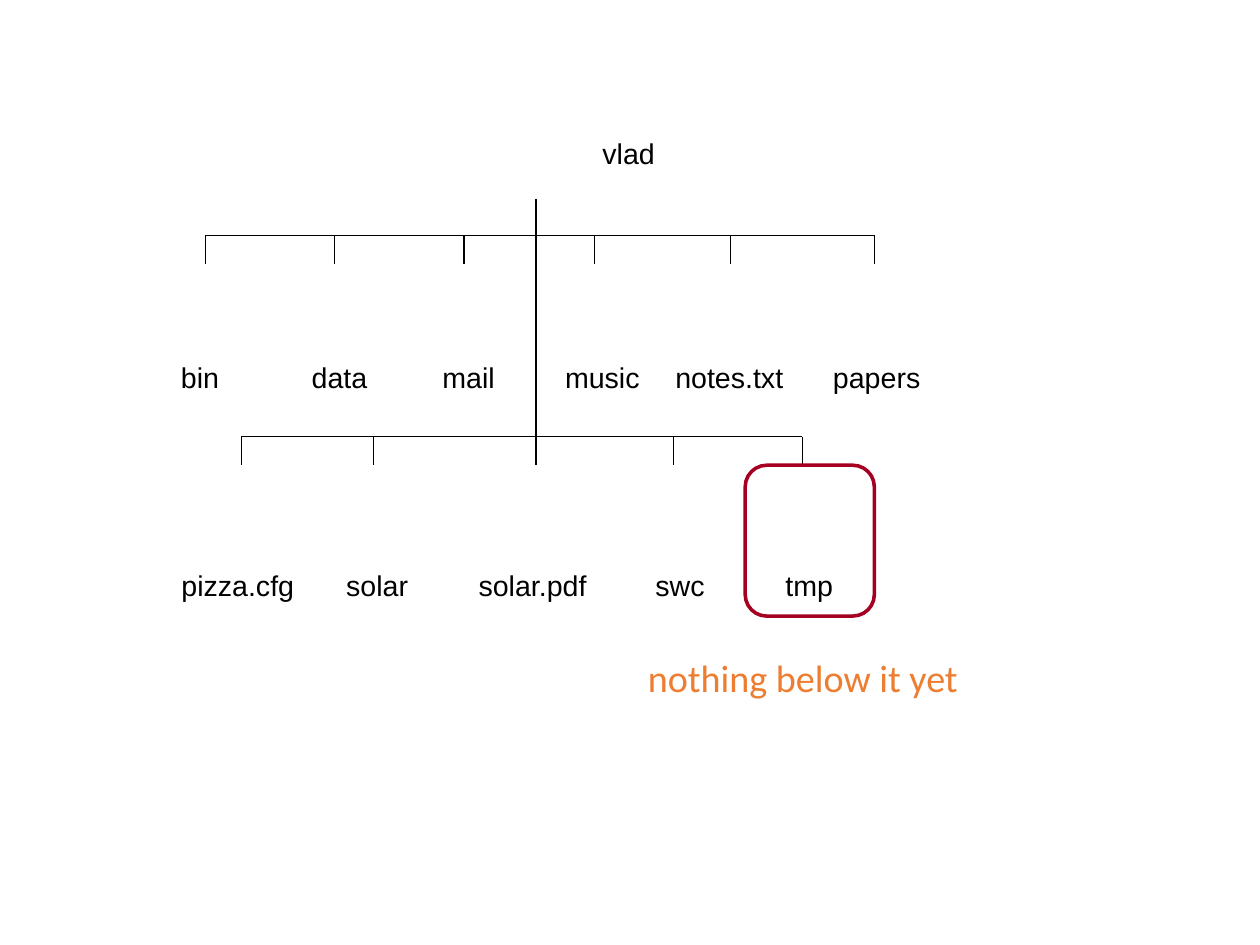
from lxml.etree import SubElement
from pptx import Presentation
from pptx.dml.color import RGBColor
from pptx.enum.shapes import MSO_CONNECTOR, MSO_SHAPE
from pptx.enum.text import MSO_AUTO_SIZE, PP_ALIGN
from pptx.oxml.ns import qn
from pptx.util import Cm, Inches, Pt

BLACK, CRIMSON, ORANGE = "000000", "A50021", "ED7D31"
TRUNK_X, TRUNK_TOP = 4.69, 1.74
TICK_HEIGHT = 0.25
LABEL_HEIGHT = 0.38

# Name, tick position, label centre and label width; positions run from the left end of the bar
FIRST_ROW = [
    ("bin", 0, -0.05, 0.56),
    ("data", 1.13, 1.17, 0.69),
    ("mail", 2.26, 2.3, 0.66),
    ("music", 3.4, 3.47, 0.85),
    ("notes.txt", 4.59, 4.58, 1.15),
    ("papers", 5.85, 5.87, 0.97),
]
SECOND_ROW = [
    ("pizza.cfg", 0, -0.03, 1.19),
    ("solar", 1.16, 1.19, 0.74),
    ("solar.pdf", 2.58, 2.55, 1.16),
    ("swc", 3.78, 3.84, 0.63),
    ("tmp", 4.91, 4.97, 0.62),
]


def color(hex_string):
    return RGBColor.from_string(hex_string)


def add_line(slide, x1, y1, x2, y2):
    line = slide.shapes.add_connector(
        MSO_CONNECTOR.STRAIGHT, Inches(x1), Inches(y1), Inches(x2), Inches(y2))
    line.line.color.rgb = color(BLACK)
    line.line.width = Pt(0.75)
    SubElement(line._element.spPr, qn("a:effectLst"))


def add_text(slide, text, left, top, width, height, font_name, size, hex_string,
             spacing, align=PP_ALIGN.LEFT):
    box = slide.shapes.add_textbox(Inches(left), Inches(top), Inches(width), Inches(height))
    frame = box.text_frame
    frame.text = text
    frame.word_wrap = False
    paragraph = frame.paragraphs[0]
    paragraph.alignment = align
    paragraph.line_spacing = spacing
    font = paragraph.runs[0].font
    font.name = font_name
    font.size = Pt(size)
    font.color.rgb = color(hex_string)
    return box


def add_label(slide, name, center, top, width):
    label = add_text(slide, name, center - width / 2, top, width, LABEL_HEIGHT,
                     "Arial", 18, BLACK, 0.93, PP_ALIGN.CENTER)
    label.text_frame.auto_size = MSO_AUTO_SIZE.SHAPE_TO_FIT_TEXT


def add_row(slide, entries, left, top, label_top):
    """Draw a horizontal bar with a tick and a label for each entry."""
    add_line(slide, left, top, left + entries[-1][1], top)
    for name, tick, center, width in entries:
        tick_x = left + tick
        if abs(tick_x - TRUNK_X) > 0.01:  # the trunk itself serves as this tick
            add_line(slide, tick_x, top, tick_x, top + TICK_HEIGHT)
        add_label(slide, name, left + center, label_top, width)


def add_highlight(slide, left, top, width, height):
    frame = slide.shapes.add_shape(
        MSO_SHAPE.ROUNDED_RECTANGLE, Inches(left), Inches(top), Inches(width), Inches(height))
    frame.shadow.inherit = False
    frame.fill.background()
    frame.line.color.rgb = color(CRIMSON)
    frame.line.width = Pt(2.25)


def add_directory_tree(slide, left, top):
    add_label(slide, "vlad", left + 3.7, top, 0.66)
    second_bar = top + 2.65
    add_line(slide, TRUNK_X, TRUNK_TOP, TRUNK_X, second_bar + TICK_HEIGHT)
    add_row(slide, FIRST_ROW, left, top + 0.89, top + 1.96)
    add_row(slide, SECOND_ROW, left + 0.31, second_bar, top + 3.78)
    add_highlight(slide, left + 4.72, second_bar + TICK_HEIGHT, 1.13, 1.32)


def main():
    presentation = Presentation()
    presentation.slide_width = Cm(28)
    presentation.slide_height = Cm(21)
    slide = presentation.slides.add_slide(presentation.slide_layouts[6])
    add_directory_tree(slide, 1.8, 1.17)
    add_text(slide, "nothing below it yet", 5.57, 5.58, 3.21, 0.69,
             "Calibri", 24, ORANGE, 1.25)
    presentation.save("out.pptx")


if __name__ == "__main__":
    main()
